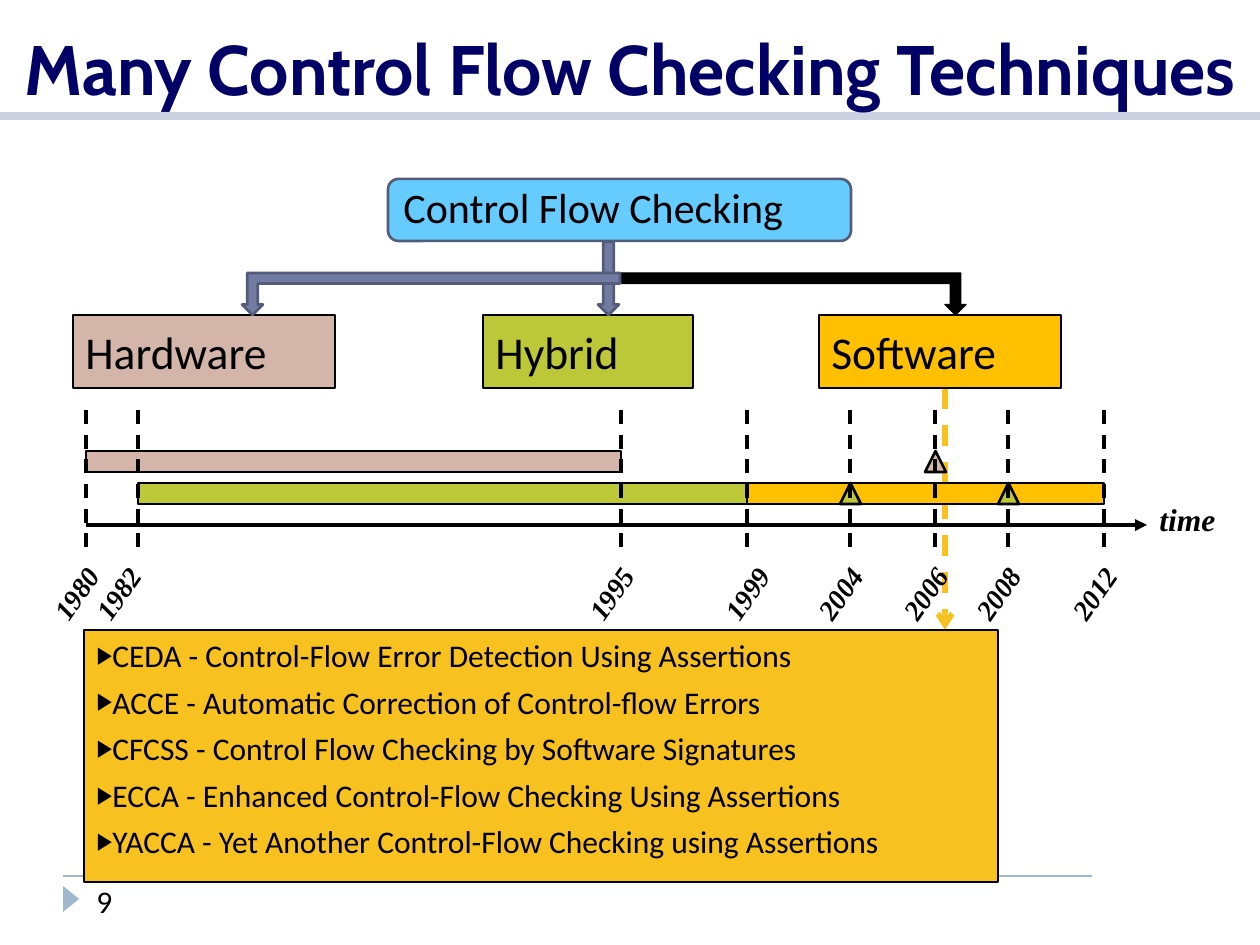
from lxml import etree
from pptx import Presentation
from pptx.dml.color import RGBColor
from pptx.enum.dml import MSO_LINE
from pptx.enum.shapes import MSO_CONNECTOR, MSO_SHAPE
from pptx.enum.text import MSO_ANCHOR, MSO_AUTO_SIZE, PP_ALIGN
from pptx.oxml.ns import qn
from pptx.util import Pt

PX = 914400 / 126
RECT, ROUNDED, TRIANGLE = MSO_SHAPE.RECTANGLE, MSO_SHAPE.ROUNDED_RECTANGLE, MSO_SHAPE.ISOSCELES_TRIANGLE
DOWN_ARROW, BENT_ARROW = MSO_SHAPE.DOWN_ARROW, MSO_SHAPE.BENT_UP_ARROW
STRAIGHT, DASH = MSO_CONNECTOR.STRAIGHT, MSO_LINE.DASH
LEFT, CENTER = PP_ALIGN.LEFT, PP_ALIGN.CENTER
TOP, MIDDLE, BOTTOM = MSO_ANCHOR.TOP, MSO_ANCHOR.MIDDLE, MSO_ANCHOR.BOTTOM
NO_FIT = MSO_AUTO_SIZE.NONE

COLORS = {
    "ink": "000000", "title": "000066", "rule": "CCD0E0", "footer": "9FB8CD",
    "root": "66CCFF", "hardware": "D4B5AA", "hybrid": "BCC838", "software": "FFC000",
    "list": "F7C120", "arrow": "727CA3", "edge": "545C79",
}

CATEGORIES = [("Hardware", 73, 262, "hardware"), ("Hybrid", 483, 210, "hybrid"),
              ("Software", 819, 242, "software")]

# year: (x of its mark, distance of its label from the mark)
YEARS = {
    "1980": (86, -10), "1982": (138, -20), "1995": (621, -10), "1999": (747, 0),
    "2004": (850, -10), "2006": (935, -10), "2008": (1008, -10), "2012": (1104, -10),
}
UPPER_ROW, LOWER_ROW, BAR_HEIGHT = 451, 483, 21
BARS = [("1980", "1995", UPPER_ROW, "hardware"), ("1982", "1999", LOWER_ROW, "hybrid"),
        ("1999", "2012", LOWER_ROW, "software")]
MILESTONES = [("2004", LOWER_ROW, "hybrid"), ("2006", UPPER_ROW, "hardware"),
              ("2008", LOWER_ROW, "hybrid")]

TECHNIQUES = [
    "CEDA - Control-Flow Error Detection Using Assertions",
    "ACCE - Automatic Correction of Control-flow Errors",
    "CFCSS - Control Flow Checking by Software Signatures",
    "ECCA - Enhanced Control-Flow Checking Using Assertions",
    "YACCA - Yet Another Control-Flow Checking using Assertions",
]


def px(length):
    return round(length * PX)


def color(name):
    return RGBColor.from_string(COLORS[name])


def place(shape, left, top, width, height):
    shape.left, shape.top, shape.width, shape.height = map(px, (left, top, width, height))


def paint(shape, fill, line="ink", weight=0.75):
    shape.fill.solid()
    shape.fill.fore_color.rgb = color(fill)
    if line:
        shape.line.color.rgb = color(line)
        shape.line.width = Pt(weight)
    else:
        shape.line.fill.background()


def style_text(para, size, font="Calibri", ink="ink", bold=False, italic=False, align=LEFT):
    para.alignment = align
    for span in para.runs:
        span.font.size = Pt(size)
        span.font.name = font
        span.font.bold = bold
        span.font.italic = italic
        span.font.color.rgb = color(ink)


def add_figure(page, kind, frame, fill, line="ink", weight=1.5):
    shape = page.shapes.add_shape(kind, *map(px, frame))
    shape.shadow.inherit = False
    paint(shape, fill, line, weight)
    return shape


def add_line(page, start, end, ink, weight, dash=None, head=None):
    line = page.shapes.add_connector(STRAIGHT, *map(px, start + end))
    line.line.color.rgb = color(ink)
    line.line.width = Pt(weight)
    if dash:
        line.line.dash_style = dash
    properties = line.element.spPr
    if head:
        etree.SubElement(properties.find(qn("a:ln")), qn("a:tailEnd"), type=head)
    etree.SubElement(properties, qn("a:effectLst"))


def add_label(page, text, frame, size, wrap=False, **style):
    box = page.shapes.add_textbox(*map(px, frame))
    box.text_frame.word_wrap = wrap
    box.text_frame.text = text
    style_text(box.text_frame.paragraphs[0], size, **style)
    return box


def add_box(page, text, frame, fill, size, kind=RECT, line="ink", weight=0.75):
    box = add_figure(page, kind, frame, fill, line, weight)
    box.text_frame.text = text
    box.text_frame.vertical_anchor = MIDDLE
    style_text(box.text_frame.paragraphs[0], size)
    return box


def add_bullet(para):
    properties = para._p.get_or_add_pPr()
    properties.set("marL", str(px(15)))
    properties.set("indent", str(px(-15)))
    tint = etree.SubElement(properties, qn("a:buClr"))
    etree.SubElement(tint, qn("a:srgbClr"), val=COLORS["ink"])
    etree.SubElement(properties, qn("a:buSzPct"), val="76000")
    etree.SubElement(properties, qn("a:buChar"), char="▶")


def add_background(page):
    add_line(page, (63, 876), (1092, 876), "footer", 1)
    add_line(page, (0, 116), (1260, 116), "rule", 5)
    add_figure(page, TRIANGLE, (58, 891, 26, 16), "footer", None).rotation = 90
    add_label(page, "9", (84, 876, 178, 50), 18, wrap=True)


def fill_title(page):
    title = page.shapes.title
    page.shapes.element.append(title.element)  # in front of the rule
    place(title, 0, 0, 1260, 116)
    frame = title.text_frame
    frame.text = "Many Control Flow Checking Techniques"
    frame.auto_size = NO_FIT
    frame.vertical_anchor = BOTTOM
    frame.margin_left = frame.margin_right = 0
    style_text(frame.paragraphs[0], 40, "Cabin", "title", bold=True, align=CENTER)


def fill_technique_list(page):
    body = page.placeholders[1]
    page.shapes.element.append(body.element)  # in front of the footer line
    place(body, 84, 630, 914, 252)
    paint(body, "list")
    frame = body.text_frame
    frame.text = "\n".join(TECHNIQUES)
    frame.auto_size = NO_FIT
    frame.vertical_anchor = TOP
    for index, para in enumerate(frame.paragraphs):
        para.space_before = Pt(5 if index else 0)
        add_bullet(para)
        style_text(para, 18)


def add_tree(page):
    root = add_box(page, "Control Flow Checking", (388, 179, 463, 62), "root", 24,
                   ROUNDED, "edge", 1.5)
    root.text_frame.vertical_anchor = TOP
    root.text_frame.margin_top = 0
    for name, left, width, fill in CATEGORIES:
        add_box(page, name, (left, 315, width, 73), fill, 26)
    add_figure(page, DOWN_ARROW, (598, 242, 21, 73), "arrow", "edge")
    to_software = add_figure(page, BENT_ARROW, (620, 273, 346, 42), "ink", "ink", 0.75)
    to_software.element.spPr.xfrm.set("flipV", "1")
    add_figure(page, BENT_ARROW, (242, 273, 378, 42), "arrow", "edge").rotation = 180


def add_timeline(page):
    add_line(page, (86, 525), (1147, 525), "ink", 2.25, head="triangle")
    add_label(page, "time", (1147, 494, 83, 47), 18, font="Times New Roman",
              bold=True, italic=True)
    for first, last, top, fill in BARS:
        left = YEARS[first][0]
        add_figure(page, RECT, (left, top, YEARS[last][0] - left, BAR_HEIGHT), fill)
    for year, top, fill in MILESTONES:
        add_figure(page, TRIANGLE, (YEARS[year][0] - 10, top, 21, BAR_HEIGHT), fill)
    for year, (x, shift) in YEARS.items():
        add_line(page, (x, 410), (x, 557), "ink", 2, DASH)
        label = add_label(page, year, (x + shift - 41, 570, 82, 47), 16,
                          font="Times New Roman", bold=True, italic=True, align=CENTER)
        label.rotation = 305


def main():
    deck = Presentation()
    deck.slide_width, deck.slide_height = px(1260), px(945)
    page = deck.slides.add_slide(deck.slide_layouts[1])
    add_background(page)
    fill_title(page)
    add_line(page, (945, 388), (945, 630), "list", 3, DASH, "arrow")
    add_tree(page)
    add_timeline(page)
    fill_technique_list(page)
    deck.save("out.pptx")


if __name__ == "__main__":
    main()
